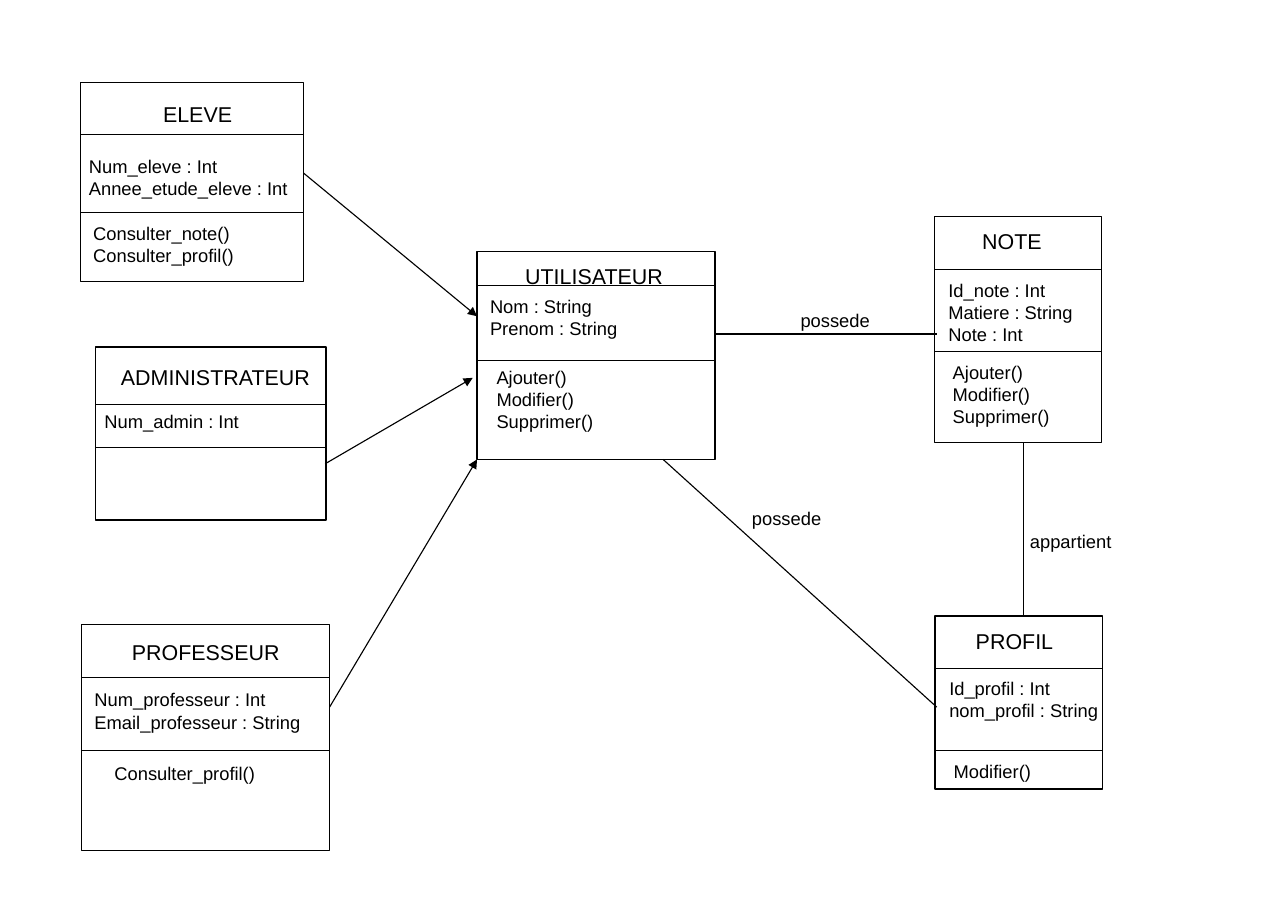
from lxml.etree import SubElement
from pptx import Presentation
from pptx.dml.color import RGBColor
from pptx.enum.shapes import MSO_CONNECTOR as Connector, MSO_SHAPE as Shape
from pptx.oxml.ns import qn
from pptx.util import Cm, Pt

BLACK = RGBColor(0, 0, 0)
WHITE = RGBColor(255, 255, 255)
FONT = "Arial"
TITLE_SIZE, BODY_SIZE = 14, 12

# Each frame is left, top, width, height; each text is left, top, width, lines.
CLASSES = [
    {"frame": (1.85, 1.9, 5.15, 4.6), "dividers": (3.1, 4.9),
     "title": (3.51, 2.21, 2.3, ["ELEVE"]),
     "attributes": (1.8, 3.45, 5.3, ["Num_eleve\u00a0: Int", "Annee_etude_eleve : Int"]),
     "operations": (1.9, 5, 4, ["Consulter_note()", "Consulter_profil()"])},
    {"frame": (1.88, 14.4, 5.72, 5.21), "dividers": (15.61, 17.3),
     "title": (2.79, 14.6, 4.1, ["PROFESSEUR"]),
     "attributes": (1.93, 15.75, 5.4,
                    ["Num_professeur\u00a0: Int", "Email_professeur\u00a0: String"]),
     "operations": (2.39, 17.45, 4, ["Consulter_profil()"])},
    {"frame": (2.21, 8, 5.31, 3.99), "dividers": (9.32, 10.31),
     "title": (2.54, 8.26, 5.1, ["ADMINISTRATEUR"]),
     "attributes": (2.16, 9.32, 3.8, ["Num_admin\u00a0: Int"])},
    {"frame": (11, 5.79, 5.49, 4.8), "dividers": (6.59, 8.31),
     "title": (11.86, 5.94, 3.9, ["UTILISATEUR"]),
     "attributes": (11.05, 6.68, 4.3, ["Nom : String", "Prenom : String"]),
     "operations": (11.2, 8.31, 4.5, ["Ajouter()", "Modifier()", "Supprimer()"])},
    {"frame": (21.54, 5, 3.86, 5.21), "dividers": (6.21, 8.1),
     "title": (22.4, 5.13, 2.4, ["NOTE"]),
     "attributes": (21.62, 6.3, 3.4,
                    ["Id_note\u00a0: Int", "Matiere\u00a0: String", "Note\u00a0: Int"]),
     "operations": (21.72, 8.2, 3.05, ["Ajouter()", "Modifier()", "Supprimer()"])},
    {"frame": (21.56, 14.2, 3.86, 3.99), "dividers": (15.4, 17.3),
     "title": (22.25, 14.35, 2.8, ["PROFIL"]),
     "attributes": (21.64, 15.49, 4.1, ["Id_profil\u00a0: Int", "nom_profil\u00a0: String"]),
     "operations": (21.74, 17.4, 3.05, ["Modifier()"])},
]
INHERITANCES = [
    ((7, 3.99), (11, 7.29)),
    ((7.5, 10.69), (10.9, 8.71)),
    ((7.6, 16.3), (11, 10.59)),
]
ASSOCIATIONS = [
    ((16.5, 7.7), (21.6, 7.7), (18.21, 7.01, 2.3, ["possede"])),
    ((23.6, 10.21), (23.6, 14.2), (23.5, 12.09, 2.5, ["appartient"])),
    ((15.29, 10.59), (21.6, 16.3), (17.09, 11.56, 3, ["possede"])),
]


def add_text(left, top, width, lines, size=BODY_SIZE, color=BLACK):
    height = 0.25 + 0.04 * size * len(lines)
    box = page.shapes.add_textbox(Cm(left), Cm(top), Cm(width), Cm(height))
    frame = box.text_frame
    frame.word_wrap = True
    for index, line in enumerate(lines):
        para = frame.add_paragraph() if index else frame.paragraphs[0]
        span = para.add_run()
        span.text = line
        span.font.name = FONT
        span.font.size = Pt(size)
        span.font.color.rgb = color


def add_line(start, end, arrow=False):
    points = [Cm(value) for value in (*start, *end)]
    line = page.shapes.add_connector(Connector.STRAIGHT, *points)
    line.line.color.rgb = BLACK
    line.line.width = Pt(0.75)
    if arrow:
        SubElement(line.line._get_or_add_ln(), qn("a:tailEnd"), type="triangle")
    SubElement(line._element.spPr, qn("a:effectLst"))


def add_class(frame, dividers, title, attributes, operations=None):
    left, top, width, height = frame
    box = page.shapes.add_shape(Shape.RECTANGLE, *(Cm(value) for value in frame))
    box.shadow.inherit = False
    box.fill.solid()
    box.fill.fore_color.rgb = WHITE
    box.line.color.rgb = BLACK
    box.line.width = Pt(0.75)
    for y in dividers:
        add_line((left, y), (left + width, y))
    add_text(*title, size=TITLE_SIZE)
    add_text(*attributes)
    if operations:
        add_text(*operations)


deck = Presentation()
deck.slide_width, deck.slide_height = Cm(29.7), Cm(21)
page = deck.slides.add_slide(deck.slide_layouts[6])

for entry in CLASSES:
    add_class(**entry)
for start, end in INHERITANCES:
    add_line(start, end, arrow=True)
for start, end, label in ASSOCIATIONS:
    add_line(start, end)
    add_text(*label)

deck.save("out.pptx")
